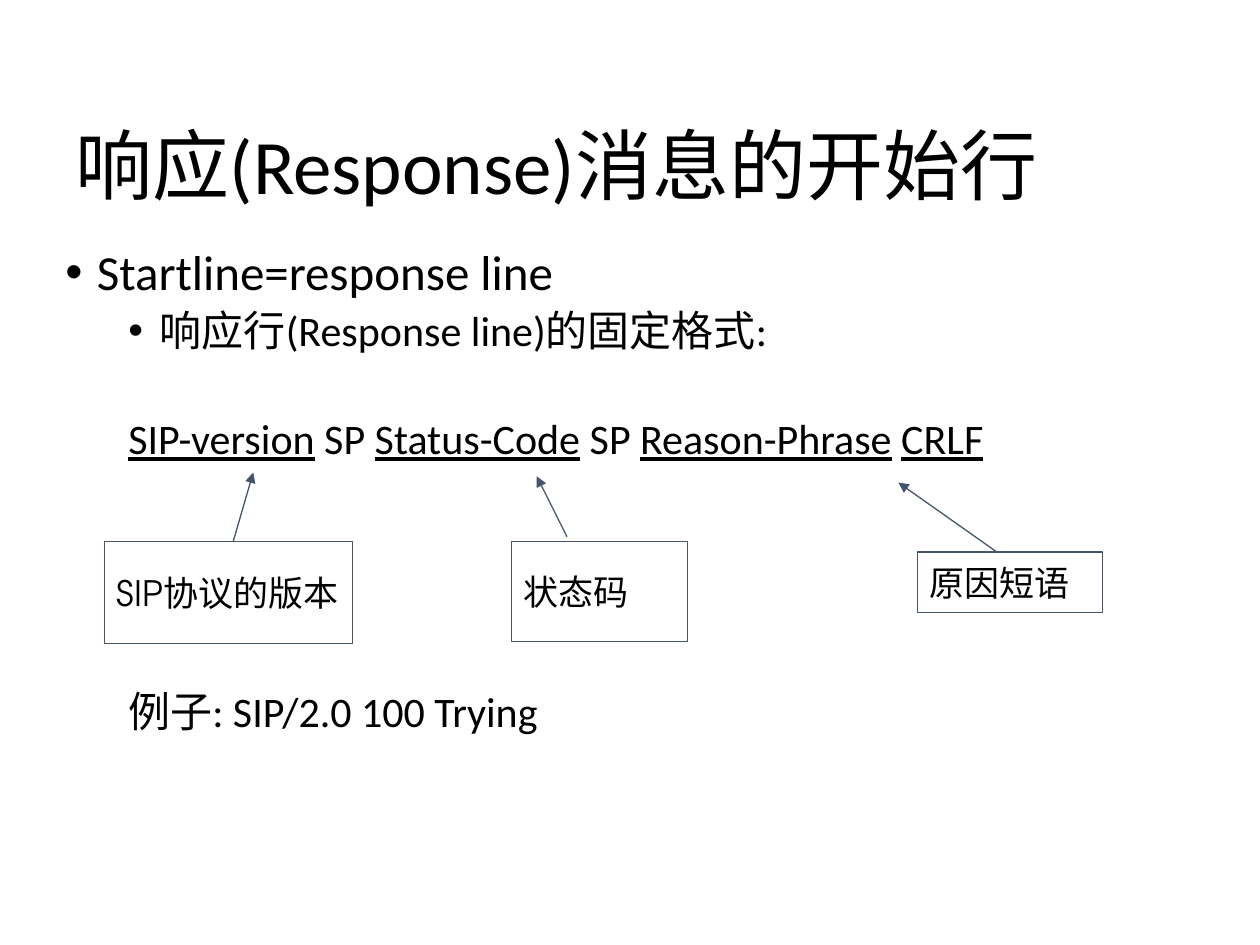
import pptx
import pptx.util
import pptx.dml.color
import pptx.enum.shapes
import pptx.enum.text
import pptx.oxml.ns
import lxml.etree

Inches = pptx.util.Inches
Pt = pptx.util.Pt


def color(value):
    """Turn a hex string into a colour."""
    return pptx.dml.color.RGBColor.from_string(value)


def add_text(paragraph, text, size=24, font="Calibri", fill="000000", underline=None):
    """Add one formatted run to a paragraph."""
    run = paragraph.add_run()
    run.text = text
    run.font.size = Pt(size)
    run.font.name = font
    run.font.color.rgb = color(fill)
    run.font.underline = underline


def add_xml(parent, tag, **attributes):
    """Append a DrawingML element to a parent."""
    return lxml.etree.SubElement(parent, pptx.oxml.ns.qn(tag), **attributes)


class SlideBuilder:
    """Hold the style and the current slide."""

    line_color = "44546A"
    line_width = Pt(0.75)
    label_font = "TeX Gyre Adventor"

    def __init__(self, presentation):
        """Add a title-only slide."""
        self.slide = presentation.slides.add_slide(presentation.slide_layouts[5])

    def title(self, text, left, top, width, height):
        """Place and fill the title."""
        shape = self.slide.shapes.title
        shape.left, shape.top = Inches(left), Inches(top)
        shape.width, shape.height = Inches(width), Inches(height)
        frame = shape.text_frame
        frame.auto_size = pptx.enum.text.MSO_AUTO_SIZE.NONE
        frame.vertical_anchor = pptx.enum.text.MSO_ANCHOR.MIDDLE
        paragraph = frame.paragraphs[0]
        paragraph.alignment = pptx.enum.text.PP_ALIGN.LEFT
        paragraph.line_spacing = 0.9
        add_text(paragraph, text, size=44)

    def body(self, lines, left, top, width, height):
        """Add lines given as runs, size, text margin, bullet and space before."""
        box = self.slide.shapes.add_textbox(
            Inches(left), Inches(top), Inches(width), Inches(height))
        frame = box.text_frame
        frame.word_wrap = True
        for number, (runs, size, margin, bullet, space) in enumerate(lines):
            paragraph = frame.add_paragraph() if number else frame.paragraphs[0]
            paragraph.line_spacing = 0.9
            paragraph.space_before = Pt(space)
            properties = paragraph._p.get_or_add_pPr()
            properties.set("marL", str(Inches(margin)))
            if bullet:
                properties.set("indent", str(Inches(-0.25)))
                add_xml(properties, "a:buFont", typeface="Arial")
                add_xml(properties, "a:buChar", char="•")
            for text, underline in runs:
                add_text(paragraph, text, size=size, underline=underline)

    def label(self, text, left, top, width, height):
        """Add an outlined label box."""
        shape = self.slide.shapes.add_shape(
            pptx.enum.shapes.MSO_SHAPE.RECTANGLE,
            Inches(left), Inches(top), Inches(width), Inches(height))
        shape.shadow.inherit = False
        shape.fill.background()
        shape.line.color.rgb = color(self.line_color)
        shape.line.width = self.line_width
        frame = shape.text_frame
        frame.word_wrap = False
        frame.vertical_anchor = pptx.enum.text.MSO_ANCHOR.MIDDLE
        paragraph = frame.paragraphs[0]
        paragraph.alignment = pptx.enum.text.PP_ALIGN.LEFT
        add_text(paragraph, text, size=20, font=self.label_font)

    def arrow(self, start, end):
        """Add an arrow from start to end."""
        connector = self.slide.shapes.add_connector(
            pptx.enum.shapes.MSO_CONNECTOR.STRAIGHT,
            *(Inches(value) for value in start + end))
        connector.line.color.rgb = color(self.line_color)
        connector.line.width = self.line_width
        add_xml(connector.line._get_or_add_ln(), "a:tailEnd", type="triangle")
        add_xml(connector._element.spPr, "a:effectLst")


def main():
    """Build and save the presentation."""
    presentation = pptx.Presentation()
    presentation.slide_width, presentation.slide_height = Inches(10), Inches(7.5)
    builder = SlideBuilder(presentation)
    builder.title("响应(Response)消息的开始行", 0.5, 0.92, 9, 0.85)
    syntax = [("SIP-version", True), (" SP ", False), ("Status-Code", True),
              (" SP ", False), ("Reason-Phrase", True), (" ", False), ("CRLF", True)]
    builder.body([
        ([("Startline=response line", None)], 28, 0.25, True, 10),
        ([("响应行(Response line)的固定格式:", None)], 24, 0.75, True, 5),
        (syntax, 24, 0.5, False, 36),
        ([("例子: SIP/2.0 100 Trying", None)], 24, 0.5, False, 130),
    ], 0.42, 1.92, 9, 4.75)
    parts = [
        ("状态码", (4.06, 4.3, 1.4, 0.79), (4.5, 4.26), (4.26, 3.78)),
        ("SIP协议的版本", (0.83, 4.3, 1.97, 0.81), (1.85, 4.3), (2.01, 3.75)),
        ("原因短语", (7.28, 4.38, 1.47, 0.48), (7.91, 4.38), (7.13, 3.83)),
    ]
    for text, place, start, end in parts:
        builder.label(text, *place)
        builder.arrow(start, end)
    presentation.save("out.pptx")


main()
